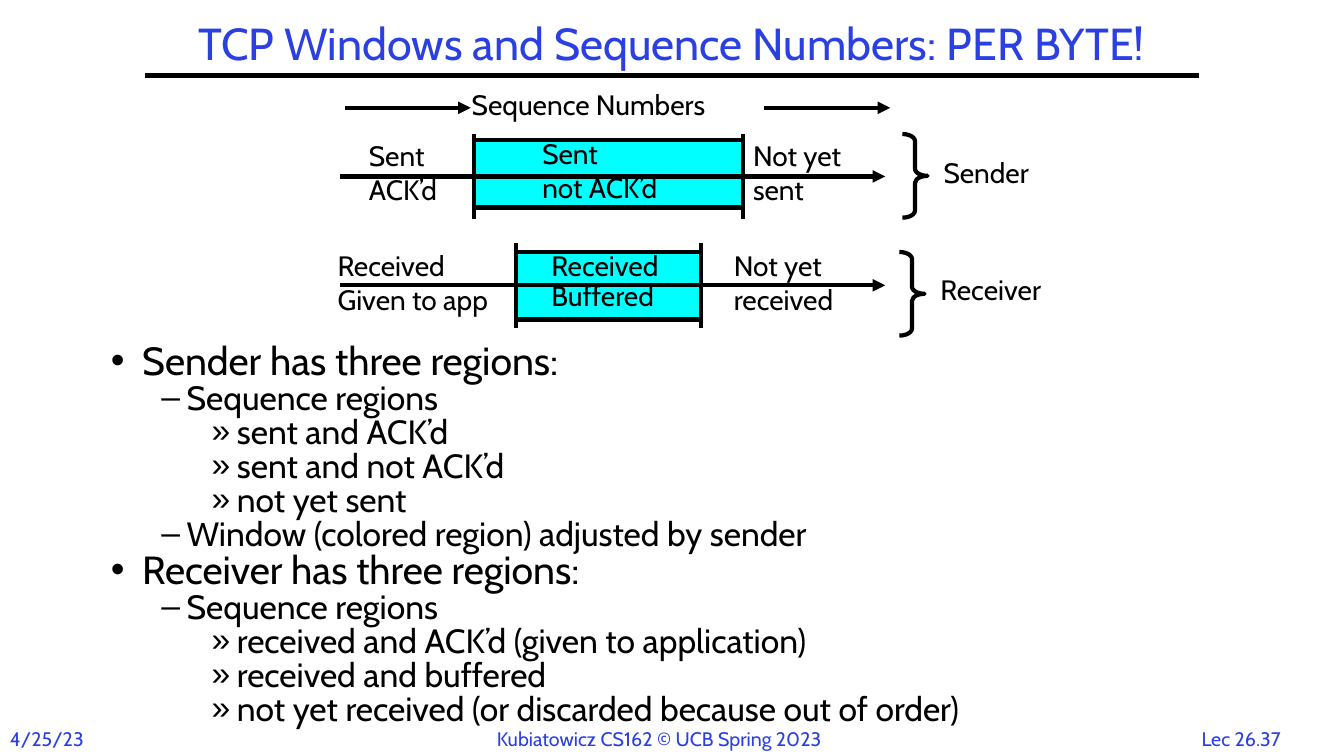
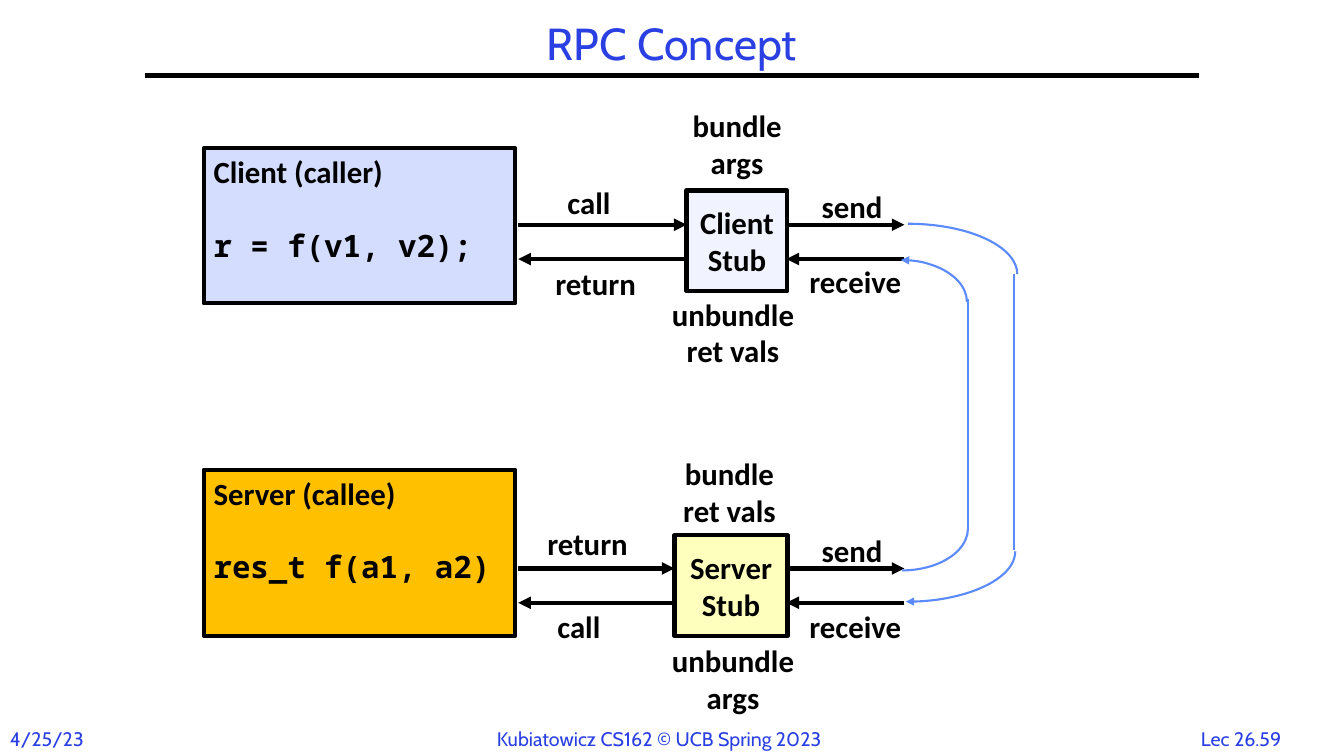
from lxml import etree
from pptx import Presentation
from pptx.dml.color import RGBColor
from pptx.enum.shapes import MSO_CONNECTOR, MSO_SHAPE
from pptx.enum.text import MSO_ANCHOR, MSO_AUTO_SIZE, PP_ALIGN
from pptx.oxml.ns import qn
from pptx.util import Inches, Pt

RECTANGLE, BRACE, ARC = MSO_SHAPE.RECTANGLE, MSO_SHAPE.RIGHT_BRACE, MSO_SHAPE.ARC
STRAIGHT = MSO_CONNECTOR.STRAIGHT
LEFT, CENTER = PP_ALIGN.LEFT, PP_ALIGN.CENTER
TOP, MIDDLE = MSO_ANCHOR.TOP, MSO_ANCHOR.MIDDLE

BLACK, BLUE, CYAN, WIRE_BLUE = "000000", "2A40E2", "00FFFF", "5B8AFB"
CABIN, CALIBRI, MONO = "Cabin", "Calibri", "Noto Sans Mono"
BOLD_LABEL = {"size": 22, "font": CALIBRI, "bold": True}


def write(shape, text, size=20, font=CABIN, color=BLACK, bold=False,
          align=LEFT, anchor=TOP, spacing=1.0):
    """Fill a shape with text, one paragraph per line."""
    frame = shape.text_frame
    frame.word_wrap = True
    frame.auto_size = MSO_AUTO_SIZE.NONE
    frame.vertical_anchor = anchor
    for index, words in enumerate(text.split("\n")):
        para = frame.add_paragraph() if index else frame.paragraphs[0]
        para.alignment = align
        para.line_spacing = spacing
        span = para.add_run()
        span.text = words
        span.font.size = Pt(size)
        span.font.name = font
        span.font.bold = bold
        span.font.color.rgb = RGBColor.from_string(color)
    return frame


def outline(shape, color=BLACK, width=3, arrow=None):
    """Style a line or border; arrow is headEnd or tailEnd."""
    shape.line.color.rgb = RGBColor.from_string(color)
    shape.line.width = Pt(width)
    properties = shape._element.spPr
    if arrow:
        etree.SubElement(properties.find(qn("a:ln")), qn("a:" + arrow), type="triangle")
    etree.SubElement(properties, qn("a:effectLst"))


deck = Presentation()
deck.slide_width, deck.slide_height = Inches(13.33), Inches(7.5)

# Shared title, rule and footers
pages = []
for layout, title, number in (
    (1, "TCP Windows and Sequence Numbers: PER BYTE!", "Lec 26.37"),
    (5, "RPC Concept", "Lec 26.59"),
):
    page = deck.slides.add_slide(deck.slide_layouts[layout])
    pages.append(page)
    heading = page.shapes.title
    heading.left, heading.top = Inches(1), Inches(0.17)
    heading.width, heading.height = Inches(11.33), Inches(0.58)
    write(heading, title, size=32, color=BLUE, align=CENTER, anchor=MIDDLE, spacing=0.9)
    rule = page.shapes.add_connector(
        STRAIGHT, Inches(1.44), Inches(0.75), Inches(11.89), Inches(0.75))
    outline(rule)
    for left, width, text, align in (
        (0, 0.95, "4/25/23", LEFT),
        (4.83, 3.68, "Kubiatowicz CS162 © UCB Spring 2023", LEFT),
        (11.77, 1.08, number, CENTER),
    ):
        footer = page.shapes.add_textbox(Inches(left), Inches(7.16), Inches(width), Inches(0.34))
        write(footer, text, size=14, color=BLUE, align=align)

windows, rpc = pages

# Slide 1: bulleted regions
regions = (
    (0, "Sender has three regions:"),
    (1, "Sequence regions"),
    (2, "sent and ACK’d"),
    (2, "sent and not ACK’d"),
    (2, "not yet sent"),
    (1, "Window (colored region) adjusted by sender"),
    (0, "Receiver has three regions:"),
    (1, "Sequence regions"),
    (2, "received and ACK’d (given to application)"),
    (2, "received and buffered"),
    (2, "not yet received (or discarded because out of order)"),
)
levels = ((28, "•", 0.31, 0.31), (24, "–", 0.75, 0.25), (24, "»", 1.25, 0.25))
body = windows.placeholders[1]
body.left, body.top, body.width, body.height = (
    Inches(1), Inches(3.38), Inches(12.18), Inches(3.8))
frame = write(body, "\n".join(text for level, text in regions), spacing=0.8)
for index, (para, (level, text)) in enumerate(zip(frame.paragraphs, regions)):
    size, bullet, margin, hanging = levels[level]
    para.level = level
    para.space_before = Pt(1.2 if index else 0)
    para.runs[0].font.size = Pt(size)
    properties = para._p.get_or_add_pPr()
    properties.set("marL", str(Inches(margin)))
    properties.set("indent", str(-Inches(hanging)))
    etree.SubElement(properties, qn("a:buChar"), char=bullet)

# Slide 1: sender and receiver windows (left, right, top, axis, brace left and top)
for left, right, top, axis, brace_left, brace_top in (
    (4.7, 7.37, 1.39, 1.75, 8.95, 1.33),
    (5.12, 6.95, 2.5, 2.83, 8.92, 2.5),
):
    window = windows.shapes.add_shape(
        RECTANGLE, Inches(left), Inches(top), Inches(right - left), Inches(0.67))
    window.fill.solid()
    window.fill.fore_color.rgb = RGBColor.from_string(CYAN)
    outline(window)
    for x1, y1, x2, y2, arrow in (
        (3.37, axis, 8.78, axis, "tailEnd"),
        (left, axis - 0.42, left, axis + 0.42, None),
        (right, axis - 0.42, right, axis + 0.42, None),
    ):
        line = windows.shapes.add_connector(
            STRAIGHT, Inches(x1), Inches(y1), Inches(x2), Inches(y2))
        outline(line, arrow=arrow)
    brace = windows.shapes.add_shape(
        BRACE, Inches(brace_left), Inches(brace_top), Inches(0.25), Inches(0.83))
    brace.adjustments[0] = 0.28
    brace.fill.background()
    outline(brace)

for left in (3.42, 7.58):
    direction = windows.shapes.add_connector(
        STRAIGHT, Inches(left), Inches(1.07), Inches(left + 1.25), Inches(1.07))
    outline(direction, arrow="tailEnd")

for left, top, width, height, text, spacing in (
    (4.58, 0.82, 2.68, 0.43, "Sequence Numbers", 1),
    (3.56, 1.33, 1.1, 0.77, "Sent\nACK’d", 1),
    (5.28, 1.31, 1.45, 0.77, "Sent\nnot ACK’d", 1),
    (7.37, 1.33, 1.15, 0.77, "Not yet\nsent", 1),
    (9.26, 1.49, 1.2, 0.43, "Sender", 1),
    (3.25, 2.42, 1.85, 0.77, "Received\nGiven to app", 1),
    (5.37, 2.45, 1.4, 0.7, "Received\nBuffered", 0.9),
    (7.18, 2.42, 1.3, 0.77, "Not yet\nreceived", 1),
    (9.23, 2.65, 1.4, 0.43, "Receiver", 1),
):
    label = windows.shapes.add_textbox(Inches(left), Inches(top), Inches(width), Inches(height))
    write(label, text, spacing=spacing)

# Slide 2: caller and callee with their stubs
for name, code, fill, top, height, stub_name, stub_fill, stub_left, stub_top, upper in (
    ("Client (caller)", "r = f(v1, v2);", "D4DDFE", 1.47, 1.54,
     "Client\nStub", "F1F4FF", 6.81, 1.89, 2.23),
    ("Server (callee)", "res_t f(a1, a2)", "FFC000", 4.66, 1.65,
     "Server\nStub", "FFFFBD", 6.69, 5.31, 5.64),
):
    lower = upper + 0.34
    for x1, x2, y in (
        (5.14, stub_left, upper), (stub_left, 5.14, lower),
        (7.8, 8.97, upper), (8.97, 7.8, lower),
    ):
        arrow = rpc.shapes.add_connector(STRAIGHT, Inches(x1), Inches(y), Inches(x2), Inches(y))
        outline(arrow, arrow="tailEnd")
    for left, y, width, box_height, color, text, align, anchor in (
        (2.02, top, 3.09, height, fill, name + "\n" + code, LEFT, TOP),
        (stub_left, stub_top, 7.81 - stub_left, 1, stub_fill, stub_name, CENTER, MIDDLE),
    ):
        box = rpc.shapes.add_shape(
            RECTANGLE, Inches(left), Inches(y), Inches(width), Inches(box_height))
        box.fill.solid()
        box.fill.fore_color.rgb = RGBColor.from_string(color)
        outline(box)
        frame = write(box, text, align=align, anchor=anchor, **BOLD_LABEL)
        if align == LEFT:
            code_line = frame.paragraphs[1]
            code_line.space_before = Pt(26)
            code_line.runs[0].font.name = MONO

# Slide 2: labels on the arrows and around the stubs
for left, top, width, text, align in (
    (5.53, 1.77, 0.8, "call", LEFT),
    (5.41, 2.58, 1.13, "return", LEFT),
    (8.05, 1.81, 0.9, "send", LEFT),
    (7.93, 2.56, 1.23, "receive", LEFT),
    (5.33, 5.16, 1.13, "return", LEFT),
    (5.43, 5.98, 0.8, "call", LEFT),
    (8.05, 5.23, 0.9, "send", LEFT),
    (7.93, 5.98, 1.23, "receive", LEFT),
    (6.72, 1.01, 1.18, "bundle\nargs", CENTER),
    (6.5, 2.88, 1.54, "unbundle\nret vals", CENTER),
    (6.61, 4.46, 1.25, "bundle\nret vals", CENTER),
    (6.5, 6.32, 1.54, "unbundle\nargs", CENTER),
):
    height = 0.47 + 0.37 * text.count("\n")
    label = rpc.shapes.add_textbox(Inches(left), Inches(top), Inches(width), Inches(height))
    write(label, text, align=align, **BOLD_LABEL)

# Slide 2: network paths between the stubs
for left, top, width, height, flipped, arrow in (
    (7.92, 2.22, 2.17, 1, False, None),
    (7.9, 4.97, 2.17, 1, True, "headEnd"),
    (8.29, 4.83, 1.31, 0.83, True, None),
    (8.28, 2.58, 1.31, 0.83, False, "headEnd"),
):
    bend = rpc.shapes.add_shape(ARC, Inches(left), Inches(top), Inches(width), Inches(height))
    bend.fill.background()
    outline(bend, color=WIRE_BLUE, width=1.5, arrow=arrow)
    if flipped:
        bend._element.spPr.find(qn("a:xfrm")).set("flipV", "1")
for x, start, end in ((10.06, 2.72, 5.46), (9.6, 5.25, 2.97)):
    wire = rpc.shapes.add_connector(STRAIGHT, Inches(x), Inches(start), Inches(x), Inches(end))
    outline(wire, color=WIRE_BLUE, width=1.5)

deck.save("out.pptx")
